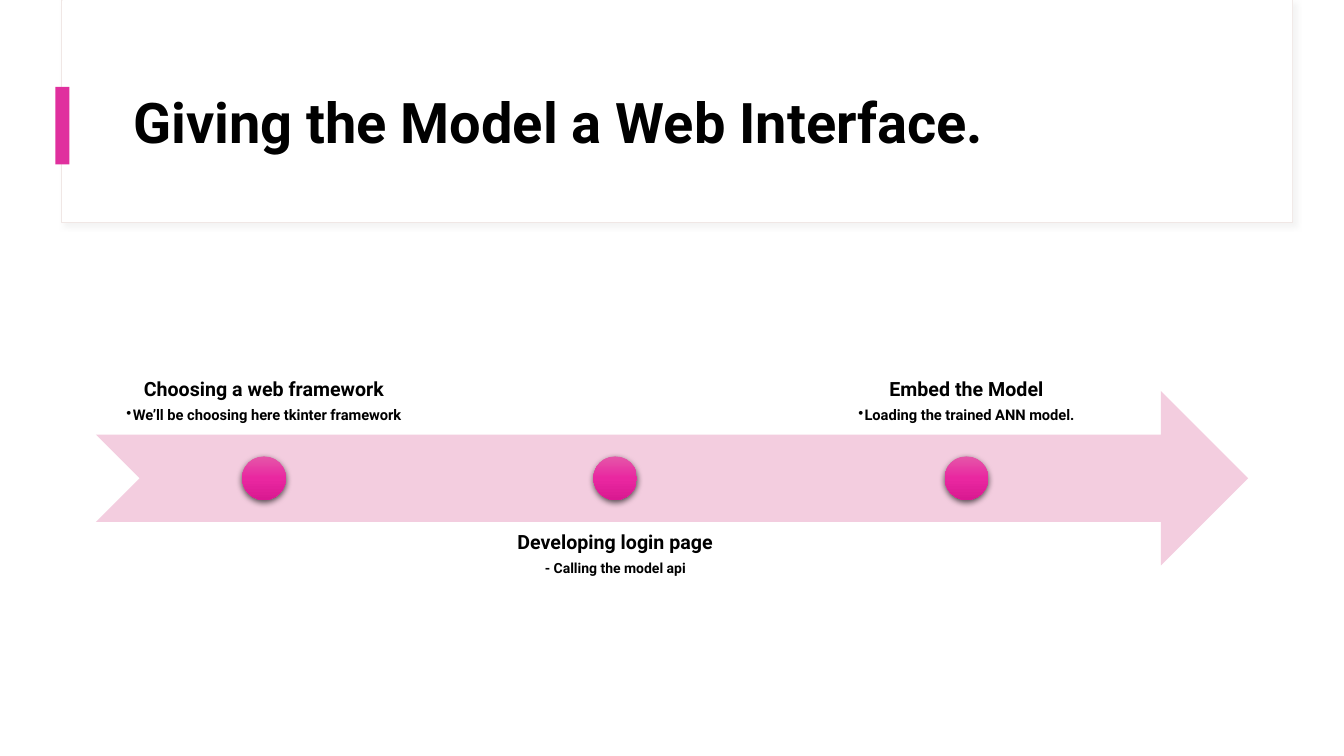
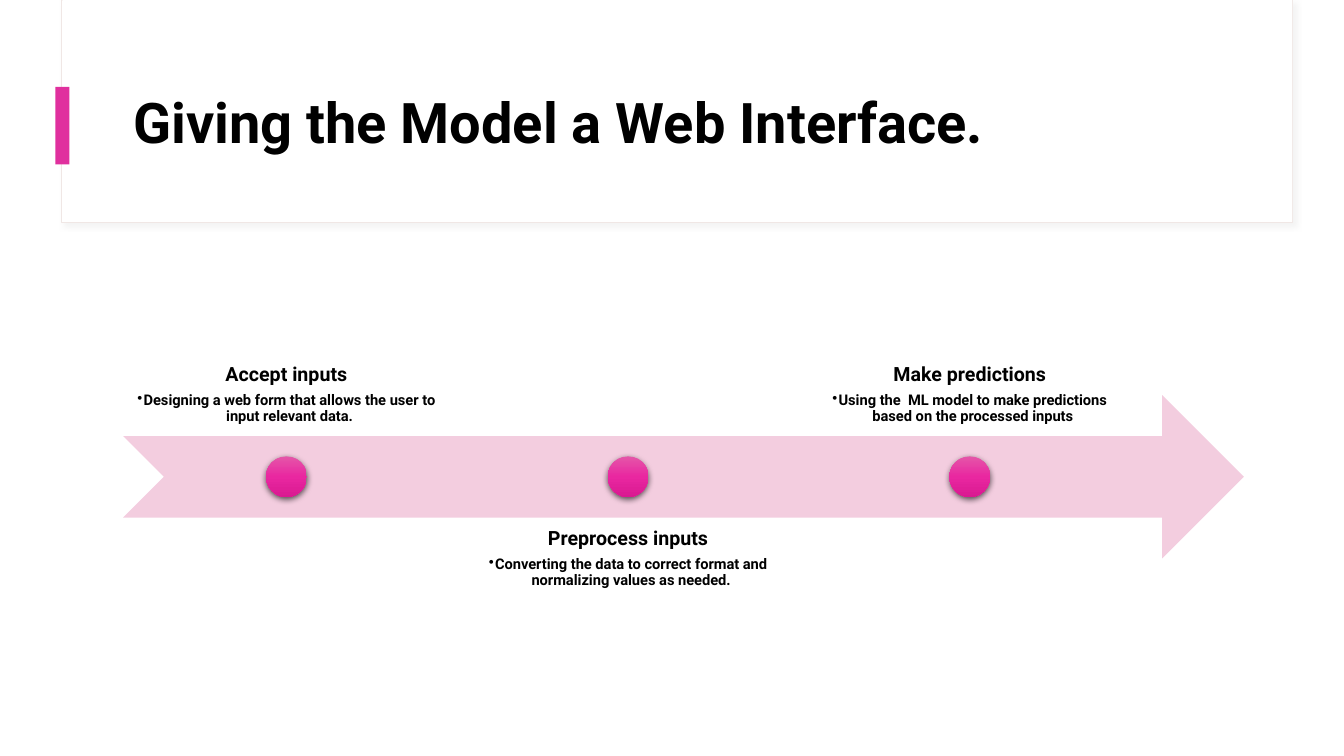
from dataclasses import dataclass

from lxml.etree import SubElement
from pptx import Presentation
from pptx.dml.color import RGBColor
from pptx.enum.shapes import MSO_SHAPE as Preset
from pptx.enum.text import MSO_ANCHOR as Anchor, MSO_AUTO_SIZE as AutoSize, PP_ALIGN as Align
from pptx.oxml.ns import qn
from pptx.util import Pt

FONT = "Roboto"
COLOURS = {
    "text": "000000",
    "panel": "FFFFFF",
    "panel_line": "F0E7E5",
    "panel_shadow": "D9D9D9",
    "accent": "E0309E",
    "arrow": "F3CDDF",
    "dot_top": "E556A9",
    "dot_middle": "E927A0",
    "dot_bottom": "D91991",
    "dot_shadow": "000000",
}
TITLE = "Giving the Model a Web Interface."
TITLE_BOX = (88, 43, 800, 93)


@dataclass
class Step:
    """One stage of the timeline."""
    heading: str
    detail: str
    bulleted: bool = True


@dataclass
class Timeline:
    """An arrow's place and the steps along it."""
    left: float
    top: float
    width: float
    height: float
    steps: list


TIMELINES = [
    Timeline(68.6, 279.3, 823, 124.6, [
        Step("Choosing a web framework", "We’ll be choosing here tkinter framework"),
        Step("Developing login page", "- Calling the model api", bulleted=False),
        Step("Embed the Model", "Loading the trained ANN model."),
    ]),
    Timeline(87.9, 282.3, 800.6, 116.6, [
        Step("Accept inputs", "Designing a web form that allows the user to input relevant data."),
        Step("Preprocess inputs", "Converting the data to correct format and normalizing values as needed."),
        Step("Make predictions", "Using the  ML model to make predictions based on the processed inputs"),
    ]),
]


def colour(name):
    """Return a named colour."""
    return RGBColor.from_string(COLOURS[name])


def points(*lengths):
    """Convert numbers to point lengths."""
    return [Pt(length) for length in lengths]


def add_preset(page, preset, place, fill=None):
    """Add a flat preset shape without line or shadow."""
    shape = page.shapes.add_shape(preset, *points(*place))
    shape.shadow.inherit = False
    shape.line.fill.background()
    if fill:
        shape.fill.solid()
        shape.fill.fore_color.rgb = colour(fill)
    return shape


def add_colour_element(parent, name):
    """Append a colour element and return it."""
    return SubElement(parent, qn("a:srgbClr"), val=COLOURS[name])


def set_shadow(shape, name, opacity, blur, distance, angle):
    """Give a shape an outer shadow."""
    effects = shape.element.spPr.find(qn("a:effectLst"))
    shadow = SubElement(effects, qn("a:outerShdw"), blurRad=str(Pt(blur)), dist=str(Pt(distance)),
                        dir=str(angle * 60000), algn="ctr", rotWithShape="0")
    SubElement(add_colour_element(shadow, name), qn("a:alpha"), val=str(opacity * 1000))


def set_gradient(shape, names):
    """Fill a shape from top to bottom with evenly spaced colours."""
    shape.fill.gradient()
    shape.fill.gradient_angle = 270
    stops = shape.element.spPr.find(qn("a:gradFill")).find(qn("a:gsLst"))
    for stop in list(stops):
        stops.remove(stop)
    for index, name in enumerate(names):
        position = index * 100000 // (len(names) - 1)
        add_colour_element(SubElement(stops, qn("a:gs"), pos=str(position)), name)


def set_bullet(para):
    """Give a paragraph a hanging bullet."""
    properties = para._p.get_or_add_pPr()
    properties.set("marL", str(Pt(4.5)))
    properties.set("indent", str(-Pt(4.5)))
    SubElement(properties, qn("a:buChar"), char="•")


def format_para(para, size, align, space_after=0):
    """Set a paragraph's bold font and spacing."""
    para.alignment = align
    para.line_spacing = 0.9
    para.space_after = Pt(space_after)
    para.font.name = FONT
    para.font.size = Pt(size)
    para.font.bold = True
    para.font.color.rgb = colour("text")


def add_header(layout, page):
    """Build the header panel and accent on a page and move them to the layout."""
    border = add_preset(page, Preset.RECTANGLE, (44, 0, 879, 159), "panel")
    border.line.color.rgb = colour("panel_line")
    border.line.width = Pt(0.75)
    set_shadow(border, "panel_shadow", 30, 4, 3, 45)
    panel = add_preset(page, Preset.RECTANGLE, (44.6, 0, 878.4, 158.4), "panel")
    accent = add_preset(page, Preset.RECTANGLE, (39.6, 62, 10, 55.4), "accent")
    for index, shape in enumerate((border, panel, accent)):
        layout.shapes.element.insert(2 + index, shape.element)
    title = layout.placeholders[0]
    title.left, title.top, title.width, title.height = points(*TITLE_BOX)


def set_title(page):
    """Write the page title."""
    frame = page.shapes.title.text_frame
    frame.text = TITLE
    frame.vertical_anchor = Anchor.MIDDLE
    frame.auto_size = AutoSize.NONE
    format_para(frame.paragraphs[0], 40, Align.LEFT)


def add_label(page, place, step, anchor):
    """Add a step's heading and detail."""
    frame = page.shapes.add_textbox(*points(*place)).text_frame
    frame.word_wrap = True
    frame.vertical_anchor = anchor
    frame.margin_left = frame.margin_right = frame.margin_top = frame.margin_bottom = Pt(8)
    heading = frame.paragraphs[0]
    heading.text = step.heading
    format_para(heading, 14, Align.CENTER, 4.9)
    detail = frame.add_paragraph()
    detail.text = step.detail
    if step.bulleted:
        set_bullet(detail)
        format_para(detail, 10.5, Align.CENTER, 1.6)
    else:
        format_para(detail, 10, Align.CENTER, 3.5)


def add_dot(page, centre, middle, diameter):
    """Add a shaded marker to the arrow."""
    place = (centre - diameter / 2, middle - diameter / 2, diameter, diameter)
    dot = add_preset(page, Preset.OVAL, place)
    set_gradient(dot, ["dot_top", "dot_middle", "dot_bottom"])
    set_shadow(dot, "dot_shadow", 63, 4.5, 1.5, 90)


def add_timeline(page, timeline):
    """Draw the arrow with labels alternating above and below it."""
    left, top, height = timeline.left, timeline.top, timeline.height
    add_preset(page, Preset.NOTCHED_RIGHT_ARROW, (left, top, timeline.width, height), "arrow")
    middle = top + height / 2
    count = len(timeline.steps)
    label_width = 0.9 * timeline.width / (count + 0.05 * (count - 1))
    for index, step in enumerate(timeline.steps):
        label_left = left + 0.5 + index * 1.05 * label_width
        above = index % 2 == 0
        label_top = middle - 1.25 * height if above else middle + 0.25 * height
        add_label(page, (label_left, label_top, label_width, height), step,
                  Anchor.BOTTOM if above else Anchor.TOP)
        add_dot(page, label_left + label_width / 2, middle, height / 4)


def main():
    """Build and save the deck."""
    deck = Presentation()
    deck.slide_width, deck.slide_height = points(960, 540)
    layout = deck.slide_layouts[5]
    pages = [deck.slides.add_slide(layout) for _ in TIMELINES]
    add_header(layout, pages[0])
    for page, timeline in zip(pages, TIMELINES):
        set_title(page)
        add_timeline(page, timeline)
    deck.save("out.pptx")


if __name__ == "__main__":
    main()
